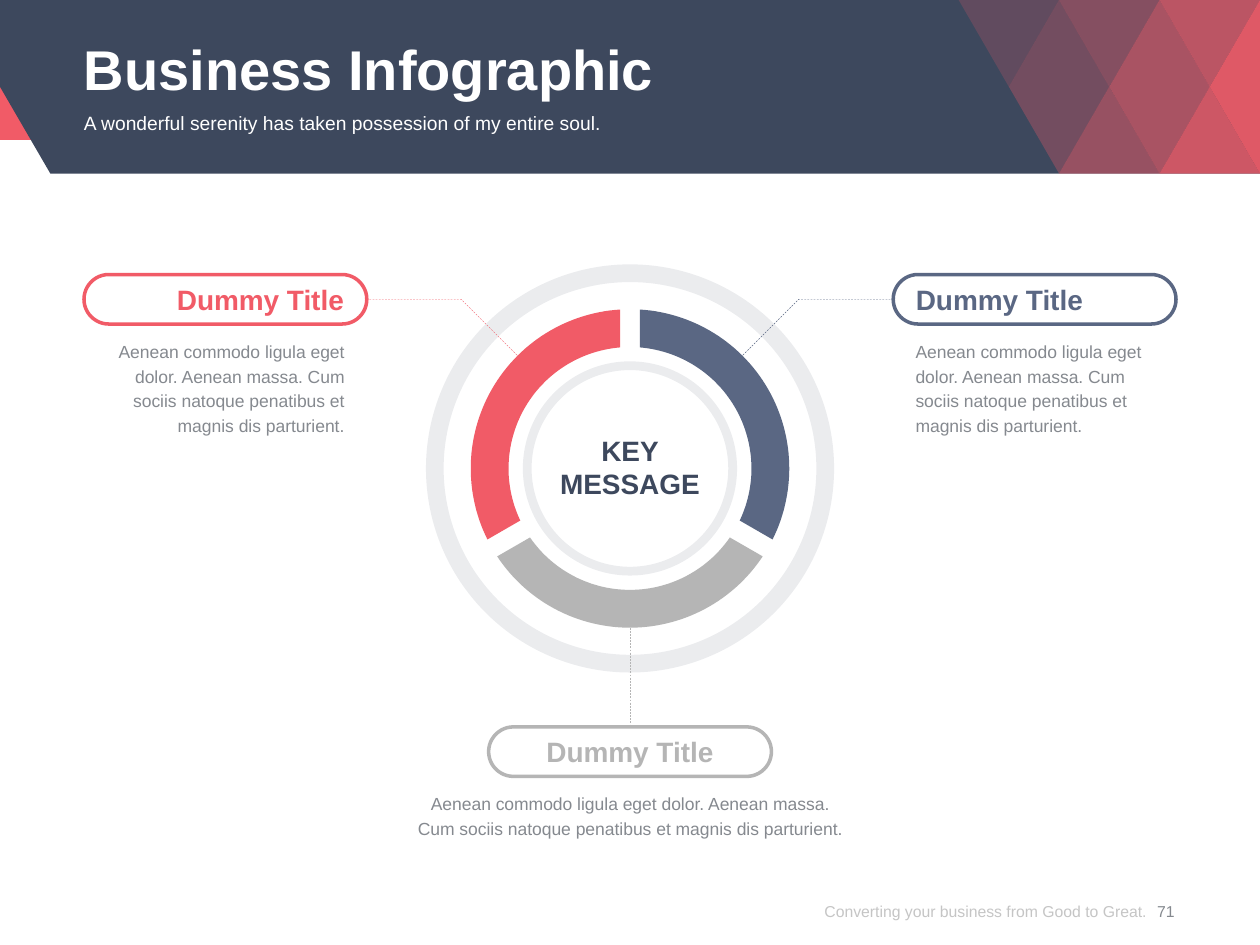
import math
from lxml import etree
from pptx import Presentation
from pptx.dml.color import RGBColor
from pptx.enum import dml, shapes, text
from pptx.oxml.ns import qn
from pptx.util import Pt

RED = RGBColor(0xF1, 0x5B, 0x67)
NAVY = RGBColor(0x3D, 0x48, 0x5D)
BLUE = RGBColor(0x5A, 0x67, 0x83)
SILVER = RGBColor(0xB5, 0xB5, 0xB5)
GREY = RGBColor(0x85, 0x89, 0x8F)
DIM = RGBColor(0x8C, 0x8C, 0x8C)
WHITE = RGBColor(0xFF, 0xFF, 0xFF)
LEFT, MID, RIGHT = text.PP_ALIGN.LEFT, text.PP_ALIGN.CENTER, text.PP_ALIGN.RIGHT
TOP, MIDDLE = text.MSO_ANCHOR.TOP, text.MSO_ANCHOR.MIDDLE
KIND = shapes.MSO_SHAPE


def fade(owner, alpha):
    """Set the opacity, in percent, of the solid fill inside an element."""
    color = next(owner.iter(qn("a:srgbClr")))
    etree.SubElement(color, qn("a:alpha")).set("val", str(alpha * 1000))


def paint(shape, color, alpha=100):
    shape.shadow.inherit = False
    shape.fill.solid()
    shape.fill.fore_color.rgb = color
    shape.line.fill.background()
    if alpha < 100:
        fade(shape._element.spPr, alpha)


def dash(line, color):
    line.color.rgb = color
    line.width = Pt(0.25)
    line.dash_style = dml.MSO_LINE.DASH


def trace(slide, points, close=True):
    pts = [(Pt(x), Pt(y)) for x, y in points]
    pen = slide.shapes.build_freeform(*pts[0], scale=1.0)
    pen.add_line_segments(pts[1:], close=close)
    return pen.convert_to_shape()


def write(shape, words, size, color, align=LEFT, bold=False, lead=None, anchor=TOP):
    frame = shape.text_frame
    frame.word_wrap = True
    frame.auto_size = text.MSO_AUTO_SIZE.NONE
    frame.vertical_anchor = anchor
    frame.margin_left = frame.margin_right = frame.margin_top = frame.margin_bottom = 0
    frame.text = words
    for par in frame.paragraphs:
        par.alignment = align
        par.space_before = Pt(0)
        if lead:
            par.line_spacing = Pt(lead)
        for run in par.runs:
            font = run.font
            font.name, font.size, font.bold = "Arial", Pt(size), bold
            font.color.rgb = color


def label(slide, box, *args, **kw):
    shape = slide.shapes.add_textbox(*map(Pt, box))
    write(shape, *args, **kw)
    return shape


def place(slide, holder, box):
    """Move a placeholder to a box and in front of what is drawn so far."""
    holder.left, holder.top, holder.width, holder.height = map(Pt, box)
    slide.shapes._spTree.append(holder._element)


def mosaic(slide, left, top, step, high):
    """Triangles and diamonds, growing denser to the right edge."""
    mid, end, edge = top + high / 2, top + high, left + 6 * step
    for i, (down, gem, up) in enumerate([(20, 30, None), (40, 60, 50), (70, 90, 80)]):
        x = left + (2 * i + 1) * step
        tiles = [([(x - step, top), (x + step, top), (x, mid)], down)]
        if up:
            tiles.append(([(x, mid), (x + step, end), (x - step, end)], up))
        far = min(x + 2 * step, edge)
        side = [(far, mid)] if far > x + step else [(edge, mid)]
        tiles.append(([(x + step, top), (x, mid), (x + step, end)] + side, gem))
        for points, alpha in tiles:
            paint(trace(slide, points), RED, alpha)


def header(slide, wide, high):
    band = slide.shapes.add_shape(KIND.RECTANGLE, 0, 0, Pt(wide), Pt(80))
    paint(band, RED)
    paint(trace(slide, [(0, 0), (wide, 0), (wide, high), (28.8, high), (0, high / 2)]), NAVY)
    mosaic(slide, wide - 6 * 28.7, 0, 28.7, high)

    title, body = slide.placeholders
    place(slide, title, (48, 13.7, 624, 46.8))
    write(title, "Business Infographic", 32, WHITE, bold=True, lead=42, anchor=MIDDLE)
    place(slide, body, (48, 63.4, 624, 28))
    write(body, "A wonderful serenity has taken possession of my entire soul.", 11, WHITE)
    props = body.text_frame.paragraphs[0]._p.get_or_add_pPr()
    props.set("marL", "0")
    props.set("indent", "0")
    etree.SubElement(props, qn("a:buNone"))


def ring(slide, x, y, radius, thick):
    size = 2 * radius
    shape = slide.shapes.add_shape(KIND.DONUT, *map(Pt, (x - radius, y - radius, size, size)))
    shape.adjustments[0] = thick / size
    paint(shape, NAVY, 10)


def sector(slide, x, y, start, color, outer=91, inner=69.4, gap=5.6):
    """A third of a band, with straight gaps of equal width at both ends."""
    def arc(radius):
        trim = math.degrees(math.asin(gap / radius))
        turn = (120 - 2 * trim) / 60
        angles = [math.radians(start + trim + turn * i) for i in range(61)]
        return [(x + radius * math.cos(a), y + radius * math.sin(a)) for a in angles]
    paint(trace(slide, arc(outer) + arc(inner)[::-1]), color)


def wheel(slide, x, y):
    ring(slide, x, y, 61.2, 5)
    ring(slide, x, y, 116.6, 10.1)
    for start, color in [(-90, BLUE), (30, SILVER), (150, RED)]:
        sector(slide, x, y, start, color)
    label(slide, (x - 66.6, y - 20, 133.2, 39), "KEY\nMESSAGE", 16, NAVY, MID, True)


def pill(slide, x, y, color, align):
    shape = slide.shapes.add_shape(KIND.ROUNDED_RECTANGLE, *map(Pt, (x, y, 161.6, 28.3)))
    shape.adjustments[0] = 0.5
    shape.shadow.inherit = False
    shape.fill.background()
    shape.line.color.rgb = color
    shape.line.width = Pt(2)
    label(slide, (x + 13, y + 4.5, 135.6, 19.4), "Dummy Title", 16, color, align, True)
    return shape


def callouts(slide, x, y):
    """Labels around the wheel whose centre is given."""
    words = ["Aenean commodo ligula eget dolor. Aenean massa.",
             "Cum sociis natoque penatibus et magnis dis parturient."]
    high = y - 110.8
    for sign, color, align in [(-1, RED, RIGHT), (1, BLUE, LEFT)]:
        path = [(x + sign * 64.6, high + 46), (x + sign * 96.5, high + 14.1),
                (x + sign * 149.3, high + 14.1)]
        lead = trace(slide, path, close=False)
        lead.shadow.inherit = False
        lead.fill.background()
        dash(lead.line, color)
        pill(slide, x + sign * 231.2 - 80.8, high, color, align)
        label(slide, (x + sign * 232.7 - 69.5, high + 36, 139, 57), " ".join(words),
              10, GREY, align, lead=14)

    low = y + 147.7
    base = pill(slide, x - 80.8, low, SILVER, MID)
    stem = slide.shapes.add_connector(shapes.MSO_CONNECTOR.STRAIGHT,
                                      *map(Pt, (x, y + 91, x, low)))
    stem.end_connect(base, 0)
    dash(stem.line, SILVER)
    etree.SubElement(stem._element.spPr, qn("a:effectLst"))
    label(slide, (x - 127.5, low + 36, 255, 28), "\n".join(words), 10, GREY, MID, lead=14)


def footer(slide, y):
    note = label(slide, (434.9, y, 220.3, 38.9), "Converting your business from Good to Great.",
                 9, DIM, RIGHT, anchor=MIDDLE)
    fade(note.text_frame._txBody, 50)
    label(slide, (649.4, y, 33.8, 38.9), "71", 9, GREY, MID, anchor=MIDDLE)


def main():
    deck = Presentation()
    deck.slide_width, deck.slide_height = Pt(720), Pt(540)
    slide = deck.slides.add_slide(deck.slide_layouts[1])
    header(slide, 720, 99.2)
    wheel(slide, 360, 267.7)
    callouts(slide, 360, 267.7)
    footer(slide, 501.1)
    deck.save("out.pptx")


if __name__ == "__main__":
    main()
